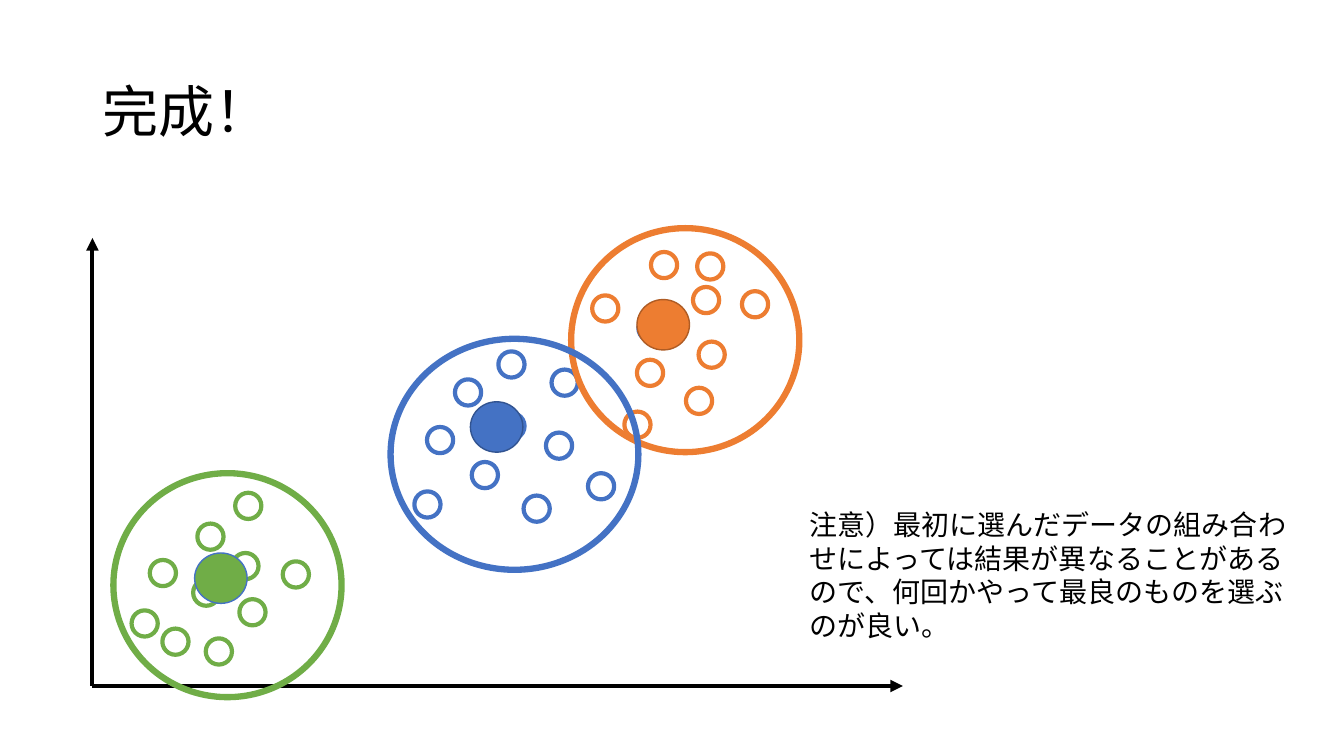
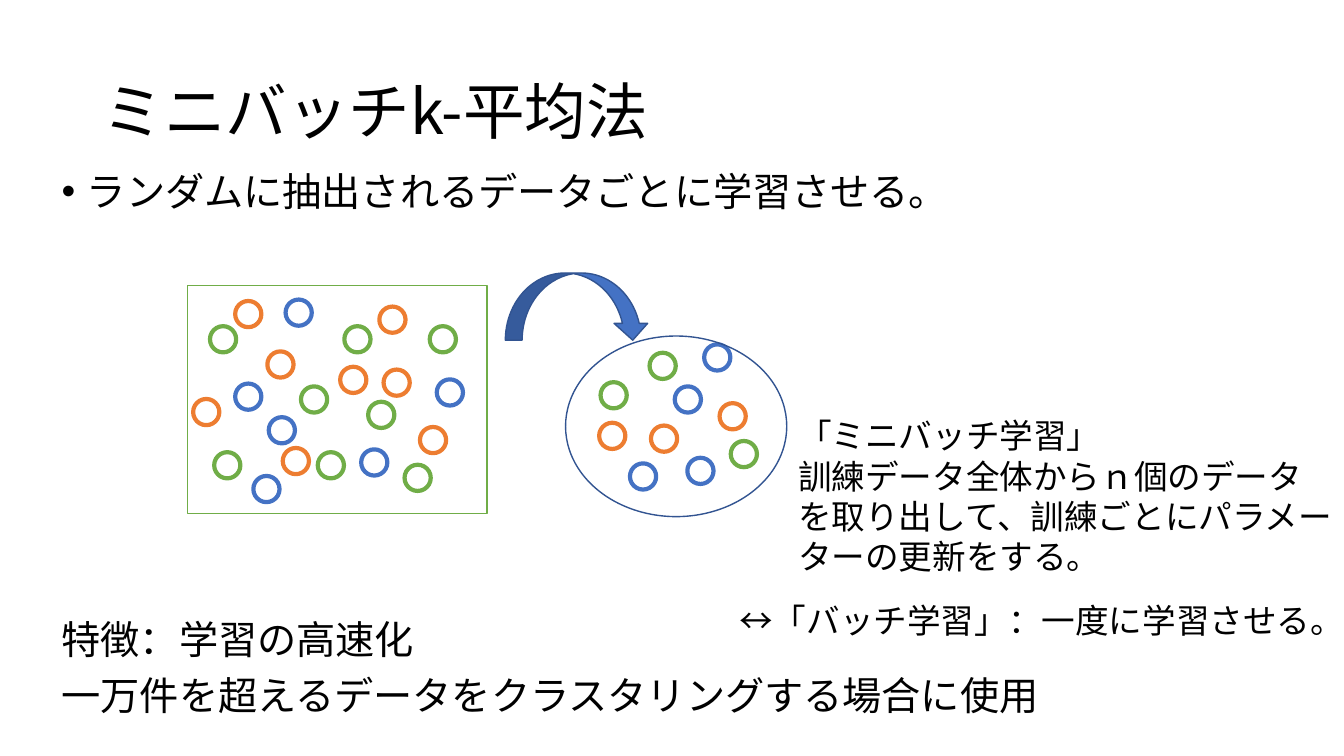
from lxml import etree
from pptx import Presentation
from pptx.dml.color import RGBColor
from pptx.enum.shapes import MSO_CONNECTOR, MSO_SHAPE
from pptx.enum.text import MSO_ANCHOR, PP_ALIGN
from pptx.oxml.ns import qn
from pptx.util import Pt

OVAL = MSO_SHAPE.OVAL
RECT = MSO_SHAPE.RECTANGLE
CURVE = MSO_SHAPE.CURVED_DOWN_ARROW
LINE = MSO_CONNECTOR.STRAIGHT
LEFT = PP_ALIGN.LEFT
MIDDLE = MSO_ANCHOR.MIDDLE
FONT = "Noto Sans CJK JP"
BLACK = RGBColor(0x00, 0x00, 0x00)
WHITE = RGBColor(0xFF, 0xFF, 0xFF)
BLUE = RGBColor(0x44, 0x72, 0xC4)
NAVY = RGBColor(0x32, 0x54, 0x91)
GREEN = RGBColor(0x70, 0xAD, 0x47)
ORANGE = RGBColor(0xED, 0x7D, 0x31)
BROWN = RGBColor(0xAF, 0x5C, 0x24)
DOT = 18.72


def draw(slide, kind, box, fill, line, width):
    shape = slide.shapes.add_shape(kind, *map(Pt, box))
    shape.shadow.inherit = False
    if fill is None:
        shape.fill.background()
    else:
        shape.fill.solid()
        shape.fill.fore_color.rgb = fill
    shape.line.color.rgb = line
    shape.line.width = Pt(width)


def write(shape, box, text, size, lead):
    shape.left, shape.top, shape.width, shape.height = map(Pt, box)
    frame = shape.text_frame
    frame.word_wrap = True
    frame.text = text
    for para in frame.paragraphs:
        para.alignment = LEFT
        para.line_spacing = Pt(lead)
        for run in para.runs:
            run.font.name = FONT
            run.font.size = Pt(size)
            run.font.color.rgb = BLACK
            east = etree.SubElement(run.font._element, qn("a:ea"))
            east.set("typeface", FONT)
    return frame


deck = Presentation()
deck.slide_width, deck.slide_height = Pt(960), Pt(540)

pages = [
    ("完成！", 40, {
        ORANGE: [(530, 208), (423, 211), (499, 244), (446, 294), (498, 181),
                 (490, 277), (455, 257), (495, 205), (465, 180)],
        GREEN: [(94, 436), (171, 428), (168, 352), (116, 449), (141, 374),
                (138, 414), (202, 401), (107, 400), (147, 456), (166, 395)],
        BLUE: [(394, 264), (337, 330), (420, 338), (325, 271), (456, 225),
               (305, 305), (356, 295), (374, 354), (390, 309), (356, 251),
               (296, 351)],
    }),
    ("ミニバッチk-平均法", 44, {
        GREEN: [(150, 233), (153, 323), (215, 276), (227, 323), (289, 332),
                (263, 287), (246, 233), (307, 233), (429, 273), (464, 252),
                (522, 315)],
        BLUE: [(168, 274), (181, 340), (192, 298), (204, 214), (258, 321),
               (312, 271), (450, 331), (482, 276), (503, 246), (491, 327)],
        ORANGE: [(271, 219), (138, 285), (202, 320), (168, 215), (191, 251),
                 (274, 264), (300, 305), (243, 262), (465, 304), (514, 288),
                 (428, 302)],
    }),
]

slides = []
for title, size, groups in pages:
    slide = deck.slides.add_slide(deck.slide_layouts[5])
    slides.append(slide)
    frame = write(slide.shapes.title, (66, 29, 828, 104), title, size, size * 1.08)
    frame.vertical_anchor = MIDDLE
    if len(slides) == 2:
        draw(slide, RECT, (134, 204, 214, 163), WHITE, GREEN, 1)
    for color, spots in groups.items():
        for x, y in spots:
            draw(slide, OVAL, (x, y, DOT, DOT), WHITE, color, 3)

final, batch = slides

for x, y in [(66, 170), (645, 490)]:
    axis = final.shapes.add_connector(LINE, Pt(66), Pt(490), Pt(x), Pt(y))
    axis.line.color.rgb = BLACK
    axis.line.width = Pt(3)
    tip = etree.SubElement(axis.line._get_or_add_ln(), qn("a:tailEnd"))
    tip.set("type", "triangle")
    etree.SubElement(axis._element.spPr, qn("a:effectLst"))

clusters = [
    (ORANGE, BROWN, (455, 214), (408, 163, 163, 160)),
    (BLUE, NAVY, (336, 287), (279, 242, 177, 165)),
    (GREEN, BLUE, (139, 395), (81, 338, 163, 160)),
]
for color, edge, center, ring in clusters:
    draw(final, OVAL, (*center, 37.5, 36), color, edge, 1)
for color, edge, center, ring in clusters:
    draw(final, OVAL, ring, None, color, 4.5)

draw(batch, OVAL, (404, 240, 158, 129), None, NAVY, 1)
draw(batch, CURVE, (361, 195, 103, 48), BLUE, NAVY, 1)

notes = [
    (final, (571, 359, 356, 107), 20, 24,
     "注意）最初に選んだデータの組み合わせによっては結果が異なることがあるので、"
     "何回かやって最良のものを選ぶのが良い。"),
    (batch, (521, 425, 456, 36), 24, 28.8,
     "↔「バッチ学習」：一度に学習させる。"),
    (batch, (563, 293, 397, 124), 24, 28.8,
     "「ミニバッチ学習」\n訓練データ全体からｎ個のデータを取り出して、"
     "訓練ごとにパラメーターの更新をする。"),
    (batch, (37, 119.5, 913, 408), 28, 30,
     "ランダムに抽出されるデータごとに学習させる。\n特徴：学習の高速化\n"
     "一万件を超えるデータをクラスタリングする場合に使用"),
]
for slide, box, size, lead, text in notes:
    label = slide.shapes.add_textbox(0, 0, 0, 0)
    frame = write(label, box, text, size, lead)

point, trait, usage = frame.paragraphs
trait.space_before = Pt(290)
usage.space_before = Pt(10)
props = point._element.get_or_add_pPr()
props.set("marL", str(Pt(18)))
props.set("indent", str(Pt(-18)))
face = etree.SubElement(props, qn("a:buFont"))
face.set("typeface", "Arial")
mark = etree.SubElement(props, qn("a:buChar"))
mark.set("char", "•")

deck.save("out.pptx")
